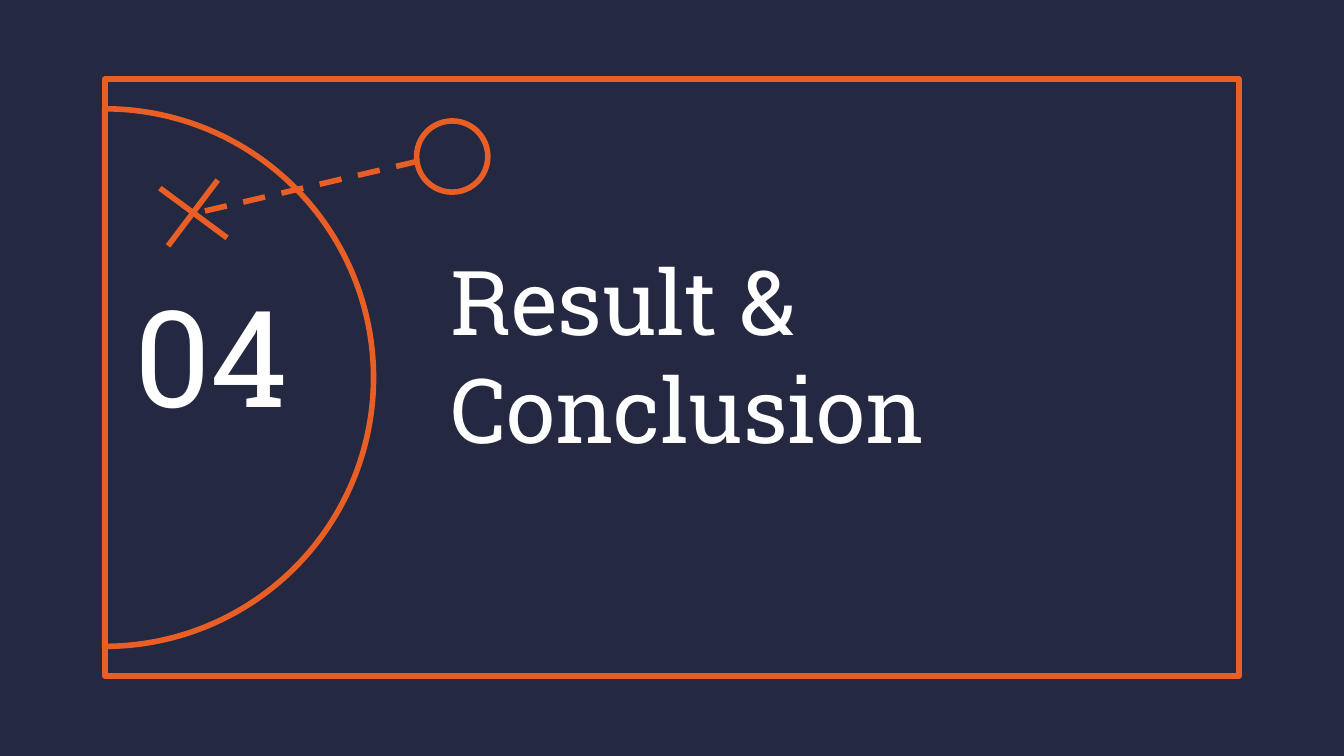
from pptx import Presentation
from pptx.dml.color import RGBColor
from pptx.enum.dml import MSO_LINE
from pptx.enum.shapes import MSO_CONNECTOR, MSO_SHAPE
from pptx.enum.text import MSO_ANCHOR, MSO_AUTO_SIZE, PP_ALIGN
from pptx.oxml.ns import qn
from pptx.util import Pt
from lxml.etree import SubElement

# Content
TITLE = "Result &\vConclusion"
NUMBER = "04"
FONT = "Roboto Slab"
COLORS = {"navy": "242841", "orange": "E95E24", "white": "FFFFFF"}

# Layout in points: left, top, width, height
FRAME = (56.16, 42.48, 607.68, 319.68)
RADIUS = 144
TEXT_TOP, TEXT_HEIGHT = 123.84, 131.04
NUMBER_BOX = (64.8, TEXT_TOP, 169.2, TEXT_HEIGHT)
TITLE_BOX = (234, TEXT_TOP, 421.2, TEXT_HEIGHT)
RING = (223.2, 64.8, 38.16, 38.16)
CROSS = [(116.64, 96.48, 90, 131.76), (85.68, 100.8, 121.68, 127.44)]
PASS = (223.92, 86.4, 103.68, 114.48)


def rgb(name):
    return RGBColor.from_string(COLORS[name])


def outline(line):
    line.color.rgb = rgb("orange")
    line.width = Pt(3)


def add_outlined(slide, kind, box, fill=None):
    sp = slide.shapes.add_shape(kind, *map(Pt, box))
    sp.shadow.inherit = False
    if fill:
        sp.fill.solid()
        sp.fill.fore_color.rgb = rgb(fill)
    else:
        sp.fill.background()
    outline(sp.line)
    return sp


def add_line(slide, ends, dash=None):
    cxn = slide.shapes.add_connector(MSO_CONNECTOR.STRAIGHT, *map(Pt, ends))
    outline(cxn.line)
    if dash:
        cxn.line.dash_style = dash
    SubElement(cxn._element.spPr, qn("a:effectLst"))


def write(sp, text, box, size, color="white"):
    sp.left, sp.top, sp.width, sp.height = map(Pt, box)
    tf = sp.text_frame
    tf.text = text
    tf.word_wrap = True
    tf.auto_size = MSO_AUTO_SIZE.NONE
    tf.vertical_anchor = MSO_ANCHOR.MIDDLE
    tf.margin_left = tf.margin_right = tf.margin_top = tf.margin_bottom = Pt(7.2)
    p = tf.paragraphs[0]
    p.alignment = PP_ALIGN.LEFT
    for r in p.runs:
        r.font.name, r.font.size = FONT, Pt(size)
        r.font.color.rgb = rgb(color)


prs = Presentation()
prs.slide_width, prs.slide_height = Pt(720), Pt(405)
s = prs.slides.add_slide(prs.slide_layouts[5])
s.background.fill.solid()
s.background.fill.fore_color.rgb = rgb("navy")

# Court frame, with a half circle centred on its left side
left, top, width, height = FRAME
add_outlined(s, MSO_SHAPE.RECTANGLE, FRAME)
half = add_outlined(s, MSO_SHAPE.PIE, (left - RADIUS, top + height / 2 - RADIUS,
                                       2 * RADIUS, 2 * RADIUS))
half.adjustments[0], half.adjustments[1] = 162, 54  # 270 to 90 degrees

# Section title and number
write(s.shapes.title, TITLE, TITLE_BOX, size=48)
write(s.shapes.add_textbox(*map(Pt, NUMBER_BOX)), NUMBER, NUMBER_BOX, size=72)

# Play diagram: ring, cross and dashed pass
add_outlined(s, MSO_SHAPE.OVAL, RING, fill="navy")
for ends in CROSS:
    add_line(s, ends)
add_line(s, PASS, dash=MSO_LINE.DASH)

prs.save("out.pptx")
